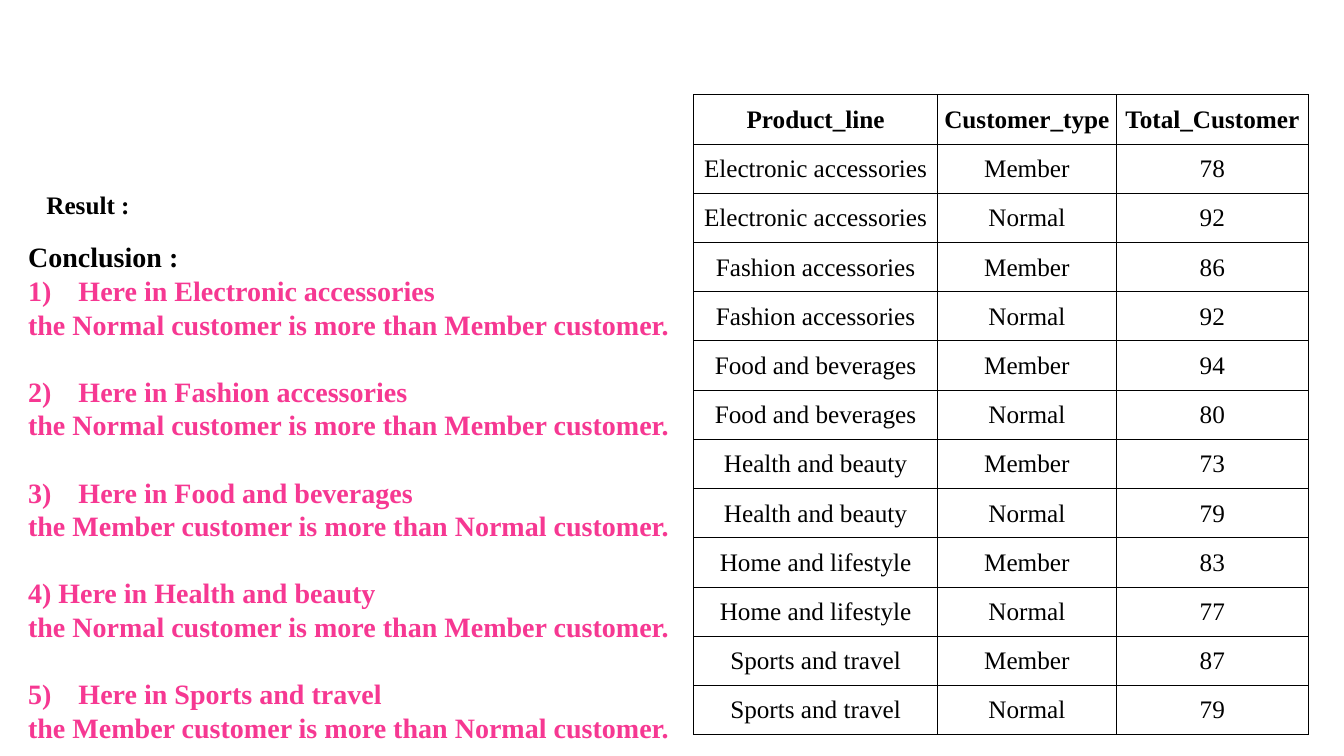
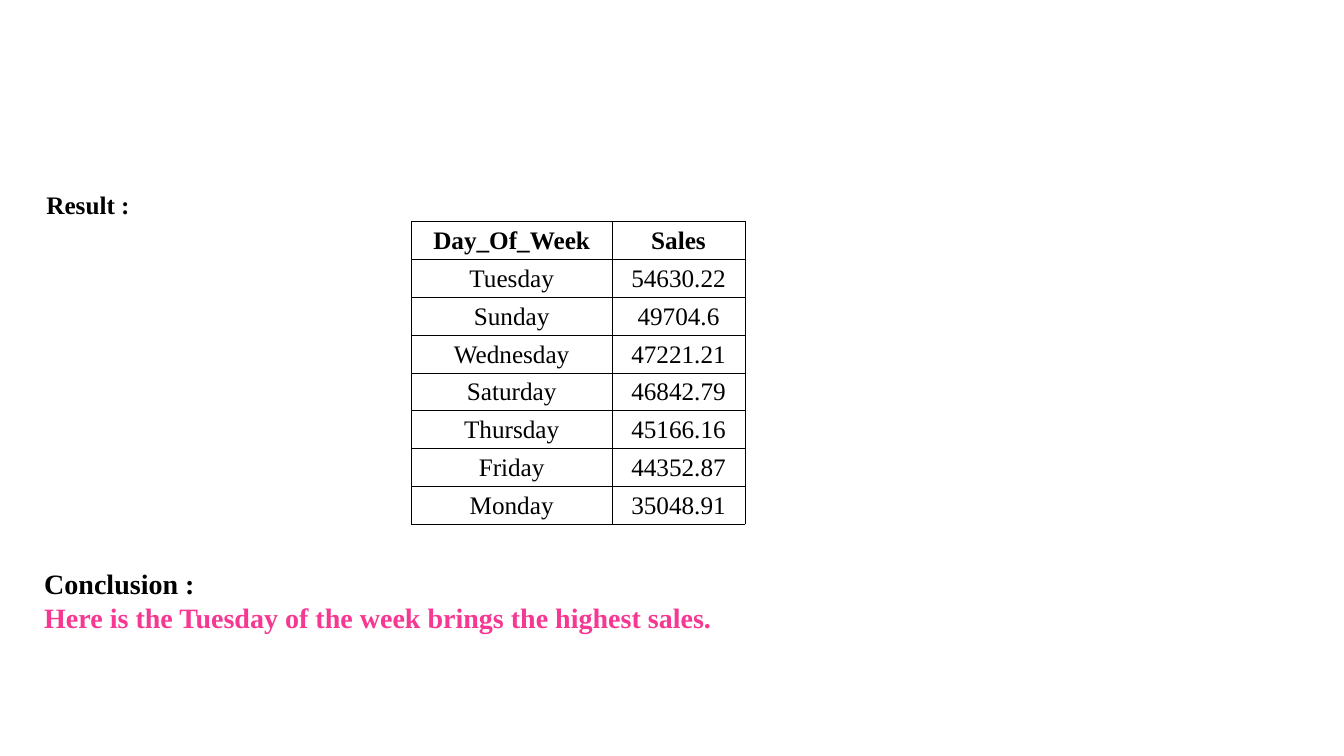
import dataclasses

import lxml.etree
import pptx
import pptx.dml.color
import pptx.enum.text
import pptx.oxml.ns
import pptx.util

Inches = pptx.util.Inches
Pt = pptx.util.Pt
RGB = pptx.dml.color.RGBColor
qn = pptx.oxml.ns.qn


@dataclasses.dataclass(frozen=True)
class Theme:
    font: str = "Times New Roman"
    ink: RGB = RGB(0x00, 0x00, 0x00)
    accent: RGB = RGB(0xF6, 0x38, 0x92)
    paper: RGB = RGB(0xFF, 0xFF, 0xFF)
    result_size: int = 18
    conclusion_size: int = 20
    finding_gap: int = 24
    border: float = 0.5


THEME = Theme()
RESULT_BOX = (0.36, 1.83, 11.89, 0.4)

CUSTOMER_HEADER = ("Product_line", "Customer_type", "Total_Customer")
# Product line, Member total, Normal total
CUSTOMERS = (
    ("Electronic accessories", 78, 92),
    ("Fashion accessories", 86, 92),
    ("Food and beverages", 94, 80),
    ("Health and beauty", 73, 79),
    ("Home and lifestyle", 83, 77),
    ("Sports and travel", 87, 79),
)
# Product line, larger group, smaller group, number indent
FINDINGS = (
    ("Electronic accessories", "Normal", "Member", 0.5),
    ("Fashion accessories", "Normal", "Member", 0.5),
    ("Food and beverages", "Member", "Normal", 0.5),
    ("Health and beauty", "Normal", "Member", 0.3),
    ("Sports and travel", "Member", "Normal", 0.5),
)
SALES = (
    ("Day_Of_Week", "Sales"),
    ("Tuesday", "54630.22"),
    ("Sunday", "49704.6"),
    ("Wednesday", "47221.21"),
    ("Saturday", "46842.79"),
    ("Thursday", "45166.16"),
    ("Friday", "44352.87"),
    ("Monday", "35048.91"),
)


def style(paragraph, size, color=THEME.ink, bold=True):
    font = paragraph.font
    font.name, font.size, font.bold = THEME.font, Pt(size), bold
    font.color.rgb = color


def number(paragraph, start, indent):
    """Give the paragraph a hanging automatic number such as 1)."""
    properties = paragraph._p.get_or_add_pPr()
    properties.set("marL", str(Inches(indent)))
    properties.set("indent", str(-Inches(indent)))
    numbering = lxml.etree.Element(qn("a:buAutoNum"), type="arabicParenR", startAt=str(start))
    properties.insert_element_before(
        numbering, "a:tabLst", "a:defRPr", "a:extLst")


def outline(cell):
    properties = cell._tc.get_or_add_tcPr()
    for position, side in enumerate(("a:lnL", "a:lnR", "a:lnT", "a:lnB")):
        line = lxml.etree.Element(qn(side), w=str(Pt(THEME.border)))
        fill = lxml.etree.SubElement(line, qn("a:solidFill"))
        lxml.etree.SubElement(fill, qn("a:srgbClr"), val=str(THEME.ink))
        properties.insert(position, line)


def add_result_slide(deck):
    slide = deck.slides.add_slide(deck.slide_layouts[5])
    slide.background.fill.solid()
    slide.background.fill.fore_color.rgb = THEME.paper
    title = slide.shapes.title
    title.left, title.top, title.width, title.height = map(Inches, RESULT_BOX)
    frame = title.text_frame
    frame.text = "Result :"
    frame.vertical_anchor = pptx.enum.text.MSO_ANCHOR.TOP
    frame.auto_size = pptx.enum.text.MSO_AUTO_SIZE.NONE
    frame.paragraphs[0].alignment = pptx.enum.text.PP_ALIGN.LEFT
    style(frame.paragraphs[0], THEME.result_size)
    return slide


def add_result_table(slide, rows, left, top, widths, height):
    table = slide.shapes.add_table(
        len(rows), len(widths), Inches(left), Inches(top),
        Inches(sum(widths)), Inches(height)).table
    table.first_row = table.horz_banding = False
    for column, width in zip(table.columns, widths):
        column.width = Inches(width)
    for r, values in enumerate(rows):
        for c, value in enumerate(values):
            cell = table.cell(r, c)
            cell.text = str(value)
            cell.fill.background()
            cell.vertical_anchor = pptx.enum.text.MSO_ANCHOR.MIDDLE
            cell.margin_left = cell.margin_right = cell.margin_top = Inches(0.01)
            cell.margin_bottom = 0
            paragraph = cell.text_frame.paragraphs[0]
            paragraph.alignment = pptx.enum.text.PP_ALIGN.CENTER
            style(paragraph, THEME.result_size, bold=r == 0)
            outline(cell)


def add_conclusion(slide, left, top, width, height):
    """Place the heading and return its frame, ready for findings."""
    box = slide.shapes.add_textbox(*map(Inches, (left, top, width, height)))
    frame = box.text_frame
    frame.word_wrap = True
    frame.text = "Conclusion :"
    style(frame.paragraphs[0], THEME.conclusion_size)
    return frame


def add_finding(frame, text):
    paragraph = frame.add_paragraph()
    paragraph.text = text
    style(paragraph, THEME.conclusion_size, THEME.accent)
    return paragraph


def customer_slide(deck):
    slide = add_result_slide(deck)
    rows = [CUSTOMER_HEADER]
    for line, members, normals in CUSTOMERS:
        rows += [(line, "Member", members), (line, "Normal", normals)]
    add_result_table(slide, rows, 6.88, 0.94, (2.42, 1.77, 1.91), 6.35)
    conclusion = add_conclusion(slide, 0.18, 2.33, 11.89, 5.82)
    for index, (line, more, fewer, indent) in enumerate(FINDINGS, 1):
        heading = add_finding(conclusion, f"Here in {line}")
        number(heading, index, indent)
        if index > 1:
            heading.space_before = Pt(THEME.finding_gap)
        add_finding(conclusion, f"the {more} customer is more than {fewer} customer.")


def sales_slide(deck):
    slide = add_result_slide(deck)
    add_result_table(slide, SALES, 4.08, 2.2, (1.99, 1.32), 3)
    conclusion = add_conclusion(slide, 0.34, 5.57, 11.89, 0.77)
    add_finding(conclusion, "Here is the Tuesday of the week brings the highest sales.")


def main():
    deck = pptx.Presentation()
    deck.slide_width, deck.slide_height = Inches(13.33), Inches(7.5)
    customer_slide(deck)
    sales_slide(deck)
    deck.save("out.pptx")


if __name__ == "__main__":
    main()
